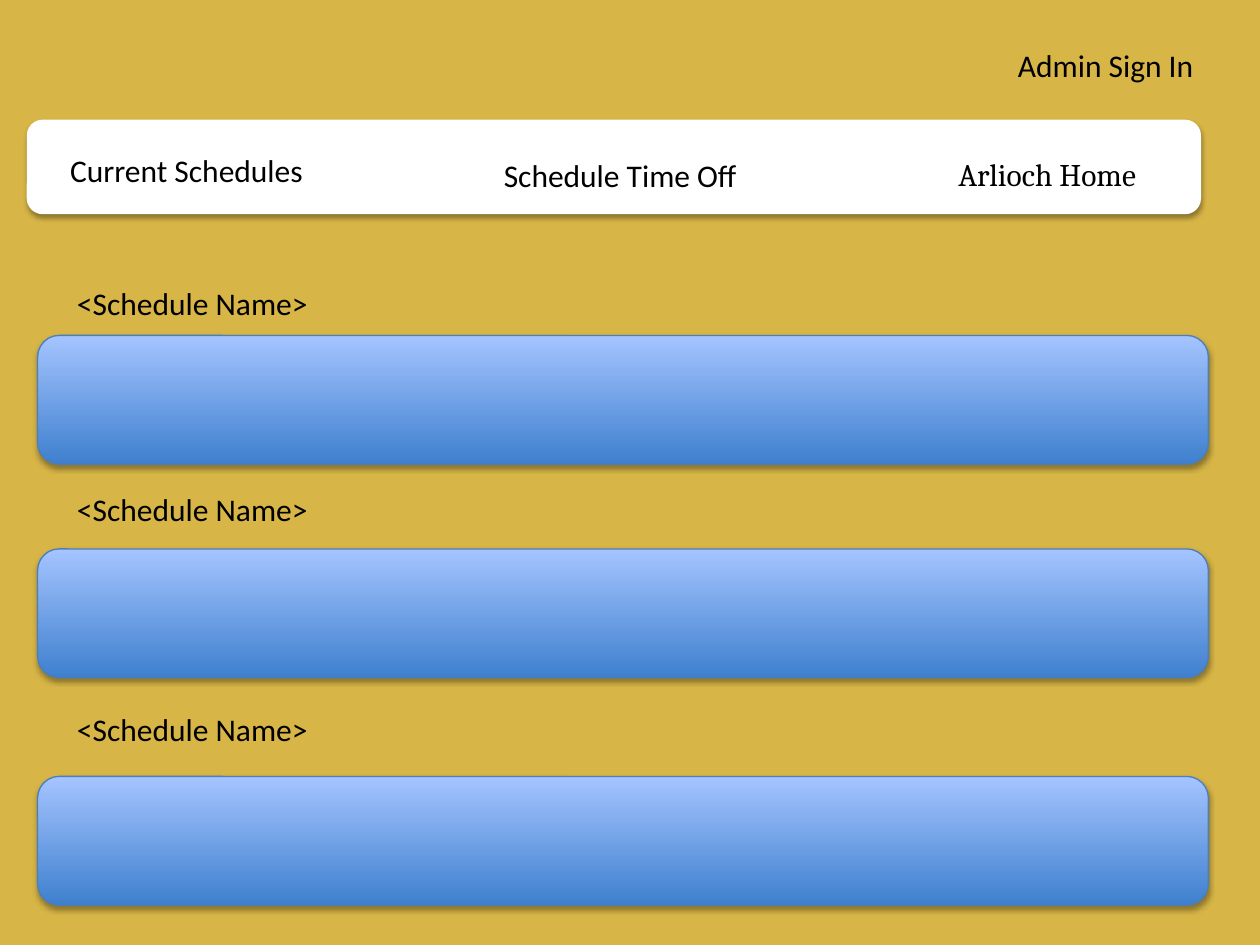
from lxml import etree
from pptx import Presentation
from pptx.dml.color import RGBColor
from pptx.enum.shapes import MSO_SHAPE
from pptx.enum.text import MSO_AUTO_SIZE
from pptx.oxml import parse_xml
from pptx.util import Pt

ROUNDED = MSO_SHAPE.ROUNDED_RECTANGLE
GROW = MSO_AUTO_SIZE.SHAPE_TO_FIT_TEXT
color = RGBColor.from_string

SHADOW = (
    '<a:outerShdw xmlns:a="http://schemas.openxmlformats.org/drawingml/2006/main" '
    'blurRad="{blur}" dist="{distance}" dir="5400000" rotWithShape="0">'
    '<a:srgbClr val="000000"><a:alpha val="35000"/></a:srgbClr></a:outerShdw>'
).format(blur=Pt(3.1), distance=Pt(1.8))


def add_label(text, left, top, width, font="Calibri", size=18):
    box = page.shapes.add_textbox(Pt(left), Pt(top), Pt(width), Pt(29))
    box.text_frame.word_wrap = False
    box.text_frame.auto_size = GROW
    span = box.text_frame.paragraphs[0].add_run()
    span.text = text
    span.font.name = font
    span.font.size = Pt(size)
    span.font.color.rgb = color("000000")


def add_panel(left, top, width, height):
    """Add a rounded rectangle with a soft shadow below it."""
    panel = page.shapes.add_shape(ROUNDED, Pt(left), Pt(top), Pt(width), Pt(height))
    panel.shadow.inherit = False
    effects = panel._element.spPr.find("{*}effectLst")
    effects.append(parse_xml(SHADOW))
    return panel


deck = Presentation()
deck.slide_width, deck.slide_height = Pt(720), Pt(540)
page = deck.slides.add_slide(deck.slide_layouts[6])
page.background.fill.solid()
page.background.fill.fore_color.rgb = color("D7B546")

# Navigation bar
bar = add_panel(15.3, 68.4, 671, 54)
bar.fill.solid()
bar.fill.fore_color.rgb = color("FFFFFF")
bar.line.fill.background()

add_label("Admin Sign In", 574.6, 22.5, 116)
add_label("Current Schedules", 33, 83, 149)
add_label("Schedule Time Off", 280.8, 85.7, 150)
add_label("Arlioch Home", 540.5, 85, 132, font="Cambria")

# Schedules: label top, panel top
for label_top, panel_top in [(159, 191.7), (276.7, 313.7), (402, 443.7)]:
    add_label("<Schedule Name>", 36.9, label_top, 147.6)
    panel = add_panel(21.5, panel_top, 669, 73.6)
    panel.fill.gradient()
    panel.fill.gradient_angle = 90
    for stop, shade in zip(panel.fill.gradient_stops, ["3F80CE", "A4C4FF"]):
        stop.color.rgb = color(shade)
    panel.line.color.rgb = color("4B7EBC")
    panel.line.width = Pt(0.75)

deck.save("out.pptx")
